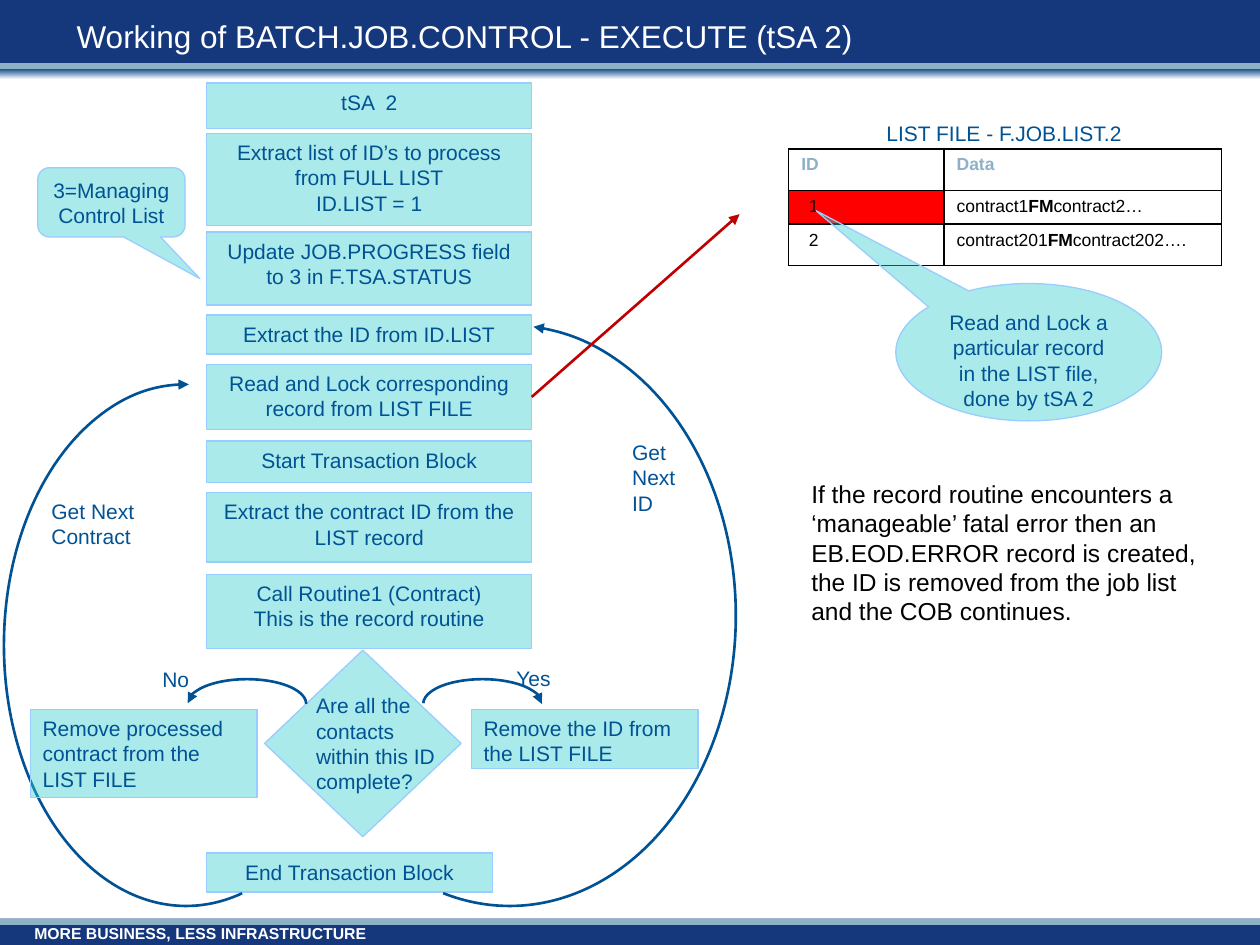
from dataclasses import dataclass

from lxml import etree
from pptx import Presentation
from pptx.dml.color import RGBColor
from pptx.enum import shapes, text
from pptx.oxml.ns import qn
from pptx.util import Pt

HUES = {"navy": "15387D", "steel": "8DB1C7", "fade": "1C5390", "white": "FFFFFF",
        "teal": "33CCCC", "sky": "99CCFF", "blue": "005294", "label": "015294",
        "red": "FF0000", "dark": "C00000", "black": "000000"}
KIND = shapes.MSO_SHAPE
LEFT, MID, JUST = text.PP_ALIGN.LEFT, text.PP_ALIGN.CENTER, text.PP_ALIGN.JUSTIFY


@dataclass
class Box:
    left: float
    top: float
    wide: float
    high: float
    words: str = ""
    align: text.PP_ALIGN = MID
    kind: shapes.MSO_SHAPE = KIND.RECTANGLE
    adj: tuple = ()

    def area(self) -> list:
        return [Pt(n) for n in (self.left, self.top, self.wide, self.high)]


def hue(name: str) -> RGBColor:
    return RGBColor.from_string(HUES[name])


def write(frame, words: str, size=12, color="blue", bold=False, align=LEFT,
          anchor=text.MSO_ANCHOR.TOP, side=7.2, edge=3.6, hang=0) -> None:
    """Fill a frame; a | switches bold on and off, a line break starts a paragraph."""
    frame.word_wrap = True
    frame.vertical_anchor = anchor
    frame.margin_left = frame.margin_right = Pt(side)
    frame.margin_top = frame.margin_bottom = Pt(edge)
    for i, line in enumerate(words.split("\n")):
        para = frame.add_paragraph() if i else frame.paragraphs[0]
        para.alignment = align
        if hang:
            props = para._p.get_or_add_pPr()
            props.set("marL", str(Pt(hang)))
            props.set("indent", str(-Pt(hang)))
        for j, part in enumerate(line.split("|")):
            run = para.add_run()
            run.text = part
            run.font.name = "Arial"
            run.font.size = Pt(size)
            run.font.bold = bold or j % 2 == 1
            run.font.color.rgb = hue(color)


def label(page, box: Box, **fmt) -> None:
    write(page.shapes.add_textbox(*box.area()).text_frame, box.words, align=box.align, **fmt)


def plain(page, box: Box):
    shape = page.shapes.add_shape(box.kind, *box.area())
    shape.shadow.inherit = False
    for i, value in enumerate(box.adj):
        shape.adjustments[i] = value
    return shape


def band(page, top: float, high: float, color: str):
    shape = plain(page, Box(0, top, 720, high))
    shape.fill.solid()
    shape.fill.fore_color.rgb = hue(color)
    shape.line.fill.background()
    return shape


def node(page, box: Box, **fmt):
    """Draw a see-through teal shape with its text."""
    shape = plain(page, box)
    shape.fill.solid()
    shape.fill.fore_color.rgb = hue("teal")
    tint = shape._element.spPr.find(qn("a:solidFill"))[0]
    etree.SubElement(tint, qn("a:alpha")).set("val", "41000")
    shape.line.color.rgb = hue("sky")
    shape.line.width = Pt(0.75)
    if box.words:
        write(shape.text_frame, box.words, align=box.align, **fmt)
    return shape


def stroke(shape, color: str, end: str) -> None:
    """Give a line its colour and an arrowhead at headEnd or tailEnd."""
    shape.line.color.rgb = hue(color)
    shape.line.width = Pt(1.5)
    line = shape._element.spPr.find(qn("a:ln"))
    etree.SubElement(line, qn(f"a:{end}")).set("type", "triangle")


def arc(page, box: Box, end: str, turn=0) -> None:
    shape = plain(page, box)
    shape.rotation = turn
    shape.fill.background()
    stroke(shape, "blue", end)


def border(cell) -> None:
    props = cell._tc.get_or_add_tcPr()
    for i, side in enumerate("LRTB"):
        line = etree.Element(qn(f"a:ln{side}"), w=str(Pt(1)))
        fill = etree.SubElement(line, qn("a:solidFill"))
        etree.SubElement(fill, qn("a:srgbClr")).set("val", HUES["black"])
        props.insert(i, line)


def grid(page, left: float, top: float, cols: list, tall: list, rows: list) -> None:
    area = Box(left, top, sum(cols), sum(tall)).area()
    table = page.shapes.add_table(len(rows), len(cols), *area).table
    table.first_row = table.horz_banding = False
    for col, wide in zip(table.columns, cols):
        col.width = Pt(wide)
    for r, (row, high) in enumerate(zip(rows, tall)):
        table.rows[r].height = Pt(high)
        for c, words in enumerate(row):
            cell = table.cell(r, c)
            number = r > 0 and c == 0
            write(cell.text_frame, words, size=10, bold=r == 0, hang=27,
                  color="black" if r else "steel", align=JUST if number else LEFT)
            cell.margin_left = cell.margin_right = Pt(11.5 if number else 7.2)
            cell.fill.background()
            if (r, c) == (1, 0):
                cell.fill.solid()
                cell.fill.fore_color.rgb = hue("red")
            border(cell)


# Steps of the main column: top, height, text
STEPS = [
    (47.5, 25.9, "tSA  2"),
    (76.3, 52.6, "Extract list of ID’s to process from FULL LIST\nID.LIST = 1"),
    (132.5, 41.8, "Update JOB.PROGRESS field to 3 in F.TSA.STATUS"),
    (180, 22.3, "Extract the ID from ID.LIST"),
    (208.1, 37.4, "Read and Lock corresponding record from LIST FILE"),
    (252, 23.8, "Start Transaction Block"),
    (281.5, 39.6, "Extract the contract ID from the LIST record"),
    (328.3, 42.5, "Call Routine1 (Contract)\nThis is the record routine"),
]
ROWS = [("ID", "Data"), ("1", "contract1|FM|contract2…"),
        ("2", "contract201|FM|contract202….")]


def main() -> None:
    deck = Presentation()
    deck.slide_width, deck.slide_height = Pt(720), Pt(540)
    page = deck.slides.add_slide(deck.slide_layouts[6])

    # Header and footer bands
    band(page, 0, 36, "navy")
    band(page, 36, 5.76, "steel")
    fade = band(page, 39.6, 5.76, "fade").fill
    fade.gradient()
    fade.gradient_angle = 270
    for stop, color, spot in zip(fade.gradient_stops, ("fade", "white"), (0, 1)):
        stop.color.rgb = hue(color)
        stop.position = spot
    band(page, 524.9, 15.1, "navy")
    band(page, 524.9, 3.6, "steel")
    label(page, Box(19.6, 524.2, 504.7, 18.7, "MORE BUSINESS, LESS INFRASTRUCTURE", LEFT),
          size=9, color="white", bold=True, anchor=text.MSO_ANCHOR.MIDDLE, side=0, edge=0)
    label(page, Box(36.7, 3.6, 517.7, 33.8, "Working of BATCH.JOB.CONTROL - EXECUTE (tSA 2)", LEFT),
          size=18, color="white", anchor=text.MSO_ANCHOR.MIDDLE)

    # Main column
    nodes = [node(page, Box(118.1, top, 185.8, high, words)) for top, high, words in STEPS]
    node(page, Box(118.1, 487.4, 163.4, 22.3, "End Transaction Block"))
    node(page, Box(21.6, 95.8, 84.2, 39.6, "3=Managing Control List",
                   kind=KIND.ROUNDED_RECTANGULAR_CALLOUT, adj=(0.6, 1.1, 0.17)), side=3.6)

    # Loops back to earlier steps
    arc(page, Box(2.2, 219.6, 208.1, 298.1, kind=KIND.ARC, adj=(154.35, 54.38)), "tailEnd", 180)
    arc(page, Box(162, 185.8, 258.5, 331.9, kind=KIND.ARC, adj=(164.83, 62.08)), "headEnd")

    # Decision and its two outcomes
    node(page, Box(17.3, 405.4, 129.6, 50.4, "Remove processed contract from the LIST FILE", LEFT))
    node(page, Box(151.2, 371.5, 112.3, 106.6, kind=KIND.DIAMOND))
    label(page, Box(173.5, 392.4, 90, 65.5, "Are all the contacts within this ID complete?", LEFT))
    node(page, Box(269.3, 405.4, 129.6, 33.8, "Remove the ID from the LIST FILE", LEFT))
    for left, end in ((241.9, "tailEnd"), (107.3, "headEnd")):
        arc(page, Box(left, 388.1, 67.7, 28.1, kind=KIND.ARC, adj=(108.32, 0.12)), end)

    # Table of the list file
    grid(page, 450.7, 85, [88.8, 158.6], [23.8, 19.1, 23.8], ROWS)

    # Labels
    for box in (Box(354.2, 247.7, 50.4, 51.1, "Get Next ID", LEFT),
                Box(22.3, 281.5, 63, 36, "Get Next Contract", LEFT),
                Box(85.7, 377.3, 33.8, 21.6, "No", LEFT),
                Box(288, 376.6, 39.6, 21.6, "Yes", LEFT),
                Box(483.1, 65.5, 181.4, 21.6, "LIST FILE - F.JOB.LIST.2")):
        label(page, box, color="label")

    # Arrow from the read step to the table
    arrow = page.shapes.add_connector(shapes.MSO_CONNECTOR.STRAIGHT,
                                      Pt(303.9), Pt(226.8), Pt(422.6), Pt(122.4))
    arrow.begin_connect(nodes[4], 3)
    stroke(arrow, "dark", "tailEnd")
    etree.SubElement(arrow._element.spPr, qn("a:effectLst"))

    # Remarks
    node(page, Box(511.9, 162, 151.9, 78.5,
                   "Read and Lock a particular record in the LIST file, done by tSA 2",
                   kind=KIND.OVAL_CALLOUT, adj=(-0.8, -1.03)))
    label(page, Box(456.5, 270, 244.1, 92.2,
                    "If the record routine encounters a ‘manageable’ fatal error then an "
                    "EB.EOD.ERROR record is created, the ID is removed from the job list "
                    "and the COB continues.", LEFT), size=14, color="black")

    deck.save("out.pptx")


if __name__ == "__main__":
    main()
